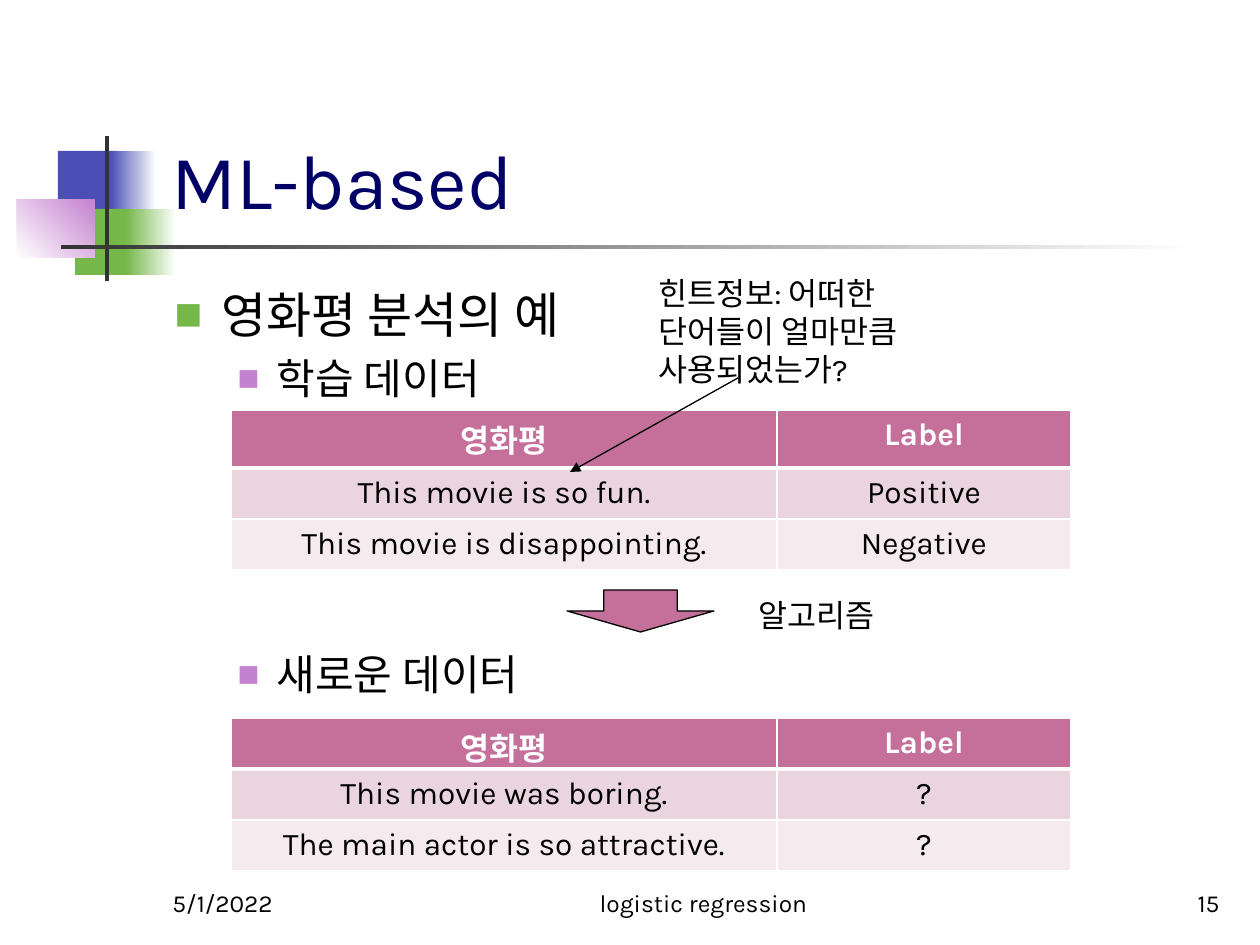
from lxml.etree import SubElement
from pptx import Presentation
from pptx.dml.color import RGBColor
from pptx.enum.shapes import MSO_CONNECTOR as Connector, MSO_SHAPE as Shape
from pptx.enum.text import MSO_ANCHOR as Anchor, MSO_AUTO_SIZE as AutoSize, PP_ALIGN as Align
from pptx.oxml.ns import qn
from pptx.util import Emu, Pt

SCALE = 914400 // 126
BLACK, WHITE, NAVY, GRAY = "000000", "FFFFFF", "000066", "333333"
BLUE, GREEN, PURPLE = "4B4EB5", "76B749", "C481CF"
ROSE, ROSE_MID, ROSE_PALE = "C4709A", "EAD5DE", "F5EBEF"


def px(length):
    return Emu(length * SCALE)


def color(code):
    return RGBColor.from_string(code)


def node(parent, tag, **attributes):
    return SubElement(parent, qn(tag), attributes)


class SlideBuilder:
    font = "Karla"

    def __init__(self, slide):
        self.slide = slide
        self.shapes = slide.shapes

    def run(self, paragraph, text, size, code=BLACK, bold=False, east_asian=True):
        run = paragraph.add_run()
        run.text = text
        run.font.name, run.font.size, run.font.bold = self.font, Pt(size), bold
        run.font.color.rgb = color(code)
        if east_asian:
            node(run.font._element, "a:ea", typeface=self.font)

    def place(self, shape, box):
        shape.left, shape.top, shape.width, shape.height = map(px, box)

    def block(self, box, code, fade_to=None, angle=0, kind=Shape.RECTANGLE, outline=None):
        shape = self.shapes.add_shape(kind, *map(px, box))
        shape.shadow.inherit = False
        if fade_to:
            shape.fill.gradient()
            shape.fill.gradient_angle = angle
            for stop, stop_code in zip(shape.fill.gradient_stops, (code, fade_to)):
                stop.color.rgb = color(stop_code)
        else:
            shape.fill.solid()
            shape.fill.fore_color.rgb = color(code)
        if outline:
            shape.line.color.rgb = color(outline)
            shape.line.width = Pt(0.75)
        else:
            shape.line.fill.background()

    def title(self, box, text):
        title = self.shapes.title
        self.place(title, box)
        frame = title.text_frame
        frame.vertical_anchor, frame.auto_size = Anchor.BOTTOM, AutoSize.NONE
        paragraph = frame.paragraphs[0]
        paragraph.alignment = Align.LEFT
        self.run(paragraph, text, 44, NAVY)

    def bullets(self, box, items):
        body = self.slide.placeholders[1]
        self.place(body, box)
        frame = body.text_frame
        frame.auto_size = AutoSize.NONE
        styles = [(28, GREEN, 60, 47, -47), (24, PURPLE, 55, 102, -39)]
        for index, (level, text, space) in enumerate(items):
            size, code, percent, margin, indent = styles[level]
            paragraph = frame.add_paragraph() if index else frame.paragraphs[0]
            paragraph.level, paragraph.space_before = level, Pt(space)
            props = paragraph._p.get_or_add_pPr()
            props.set("marL", str(px(margin)))
            props.set("indent", str(px(indent)))
            node(node(props, "a:buClr"), "a:srgbClr", val=code)
            node(props, "a:buSzPct", val=str(percent * 1000))
            node(props, "a:buFont", typeface=self.font)
            node(props, "a:buChar", char="■")
            self.run(paragraph, text, size)

    def text(self, box, text, size=18, align=Align.LEFT, anchor=Anchor.TOP, wrap=True):
        frame = self.shapes.add_textbox(*map(px, box)).text_frame
        frame.word_wrap, frame.vertical_anchor = wrap, anchor
        frame.paragraphs[0].alignment = align
        self.run(frame.paragraphs[0], text, size)

    def table(self, left, top, rows, columns=(546, 294), row_height=51, header_bottom=6):
        box = left, top, sum(columns), row_height * len(rows)
        table = self.shapes.add_table(len(rows), len(columns), *map(px, box)).table
        for column, width in zip(table.columns, columns):
            column.width = px(width)
        for r, (row, fill) in enumerate(zip(rows, (ROSE, ROSE_MID, ROSE_PALE))):
            table.rows[r].height = px(row_height)
            header = r == 0
            for c, text in enumerate(row):
                cell = table.cell(r, c)
                if header:
                    cell.margin_bottom = px(header_bottom)
                self.borders(cell, top=3 if r == 1 else 1, bottom=3 if header else 1)
                cell.fill.solid()
                cell.fill.fore_color.rgb = color(fill)
                paragraph = cell.text_frame.paragraphs[0]
                paragraph.alignment = Align.CENTER
                self.run(paragraph, text, 18, WHITE if header else BLACK, header, False)

    def borders(self, cell, top, bottom):
        props = cell._tc.get_or_add_tcPr()
        for side, width in zip("LRTB", (1, 1, top, bottom)):
            edge = node(props, f"a:ln{side}", w=str(Pt(width)))
            node(node(edge, "a:solidFill"), "a:srgbClr", val=WHITE)

    def arrow(self, start, end):
        line = self.shapes.add_connector(Connector.STRAIGHT, *map(px, start + end))
        line.line.color.rgb = color(BLACK)
        line.line.width = Pt(0.75)
        node(line.line._get_or_add_ln(), "a:tailEnd", type="triangle")
        node(line._element.spPr, "a:effectLst")


deck = Presentation()
deck.slide_width, deck.slide_height = px(1260), px(945)
page = SlideBuilder(deck.slides.add_slide(deck.slide_layouts[1]))

# Corner decoration
page.block((58, 151, 60, 66), BLUE)
page.block((110, 151, 46, 66), BLUE, WHITE)
page.block((75, 209, 58, 66), GREEN)
page.block((126, 209, 50, 66), GREEN, WHITE)
page.block((17, 199, 78, 59), WHITE, PURPLE, angle=45)
page.block((105, 136, 4, 145), GRAY)
page.block((61, 245, 1134, 4), GRAY, WHITE)

# Title and list
page.title((159, 29, 1073, 202), "ML-based")
page.bullets((162, 278, 1071, 567), [
    (0, "영화평 분석의 예", 6.5),
    (1, "학습 데이터", 5.6),
    (1, "새로운 데이터", 140),
])

# Training data, algorithm, new data
heading = ("영화평", "Label")
page.table(231, 410, [
    heading,
    ("This movie is so fun.", "Positive"),
    ("This movie is disappointing.", "Negative"),
])
page.block((567, 590, 147, 42), ROSE, kind=Shape.DOWN_ARROW, outline=BLACK)
page.text((746, 590, 152, 50), "알고리즘", wrap=False)
page.table(231, 718, [
    heading,
    ("This movie was boring.", "?"),
    ("The main actor is so attractive.", "?"),
], header_bottom=0)

# Hint
page.text((646, 268, 340, 127), "힌트정보: 어떠한 단어들이 얼마만큼 사용되었는가?")
page.arrow((738, 378), (570, 472))

# Footer
for left, width, text, align in [
    (160, 262, "5/1/2022", Align.LEFT),
    (504, 399, "logistic regression", Align.CENTER),
    (970, 262, "15", Align.RIGHT),
]:
    page.text((left, 861, width, 63), text, 14, align, Anchor.BOTTOM)

deck.save("out.pptx")
